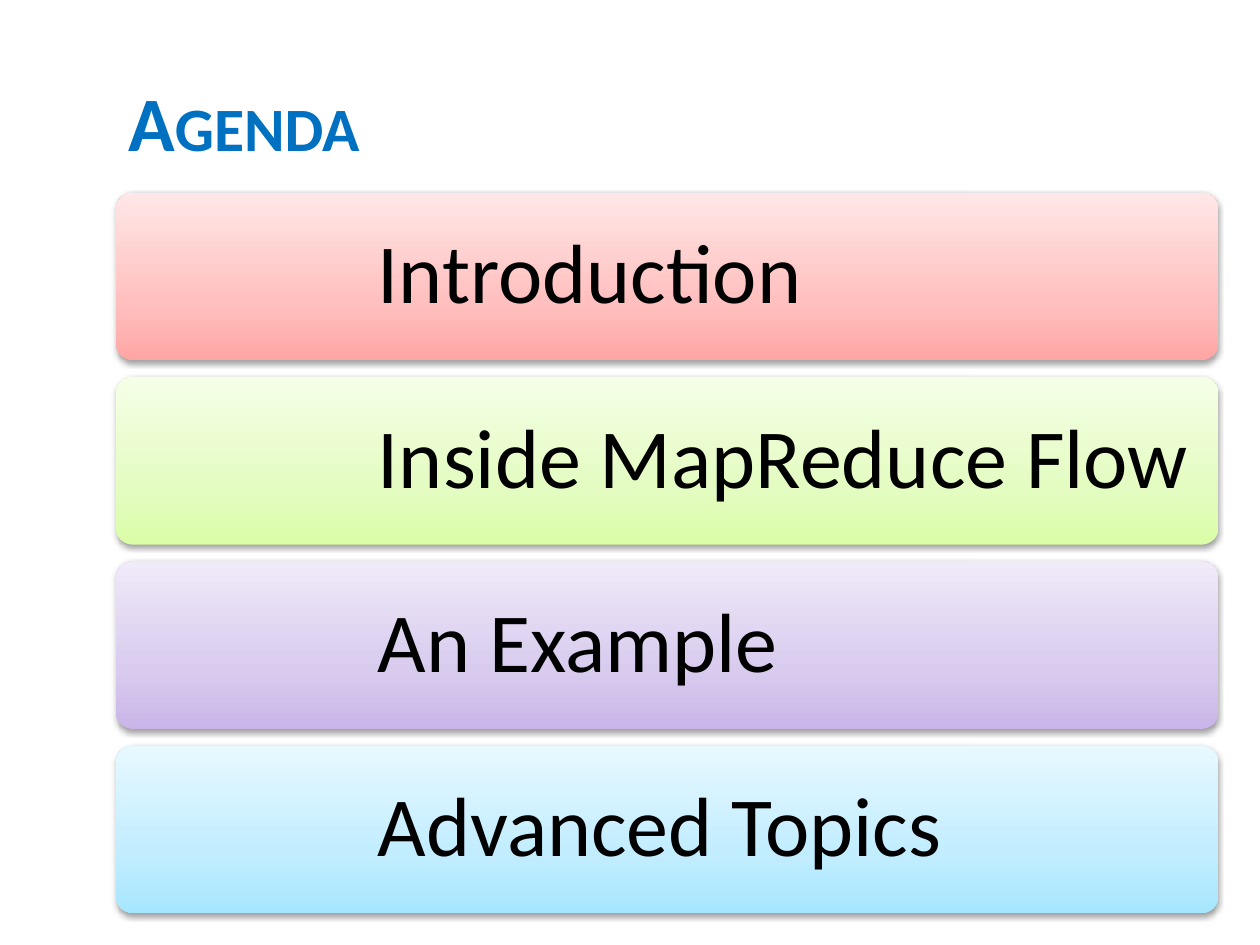
from dataclasses import dataclass

from lxml import etree
from pptx import Presentation
from pptx.dml.color import RGBColor
from pptx.enum import shapes, text
from pptx.oxml import ns
from pptx.util import Inches, Pt


@dataclass(frozen=True)
class Theme:
    font: str = "Calibri"
    title_size: int = 44
    item_size: int = 48
    title_color: str = "0070C0"
    item_color: str = "000000"
    shadow_color: str = "000000"


@dataclass(frozen=True)
class AgendaItem:
    label: str
    bottom: str
    middle: str
    top: str


THEME = Theme()
LEFT = 0.92
BAR_WIDTH, BAR_HEIGHT = 8.75, 1.33
FIRST_TOP, BAR_PITCH = 1.53, 1.463
CORNER_RATIO = 0.1

AGENDA = (
    AgendaItem("Introduction", "FFA6A5", "FFC0BF", "FFE7E7"),
    AgendaItem("Inside MapReduce Flow", "DAFDA7", "E4FCC2", "F5FFE7"),
    AgendaItem("An Example", "C9B5E8", "D8CBEE", "F0EAF9"),
    AgendaItem("Advanced Topics", "A7E6FF", "C1EDFF", "E7F8FF"),
)


def add_element(parent, tag: str, **attributes):
    element = etree.SubElement(parent, ns.qn(tag))
    for name, value in attributes.items():
        element.set(name, str(value))
    return element


def format_text(shape, label: str, size: int, color: str):
    frame = shape.text_frame
    frame.text = label
    frame.word_wrap = True
    frame.vertical_anchor = text.MSO_ANCHOR.MIDDLE
    paragraph = frame.paragraphs[0]
    paragraph.alignment = text.PP_ALIGN.LEFT
    font = paragraph.runs[0].font
    font.name = THEME.font
    font.size = Pt(size)
    font.color.rgb = RGBColor.from_string(color)
    return paragraph


def apply_gradient(shape, item: AgendaItem) -> None:
    properties = shape.element.spPr
    gradient = add_element(properties, "a:gradFill", rotWithShape=1)
    stops = add_element(gradient, "a:gsLst")
    for percent, color in ((0, item.bottom), (35, item.middle), (100, item.top)):
        stop = add_element(stops, "a:gs", pos=percent * 1000)
        add_element(stop, "a:srgbClr", val=color)
    add_element(gradient, "a:lin", ang=270 * 60000, scaled=0)
    properties.find(ns.qn("a:prstGeom")).addnext(gradient)


def apply_shadow(shape) -> None:
    shape.shadow.inherit = False
    effects = shape.element.spPr.find(ns.qn("a:effectLst"))
    shadow = add_element(effects, "a:outerShdw", blurRad=Pt(3.1), dist=Pt(1.6),
                         dir=90 * 60000, rotWithShape=0)
    color = add_element(shadow, "a:srgbClr", val=THEME.shadow_color)
    add_element(color, "a:alpha", val=38000)


def add_title(slide, label: str) -> None:
    title = slide.shapes.add_textbox(
        Inches(LEFT), Inches(0.33), Inches(8.83), Inches(1.25))
    paragraph = format_text(title, label, THEME.title_size, THEME.title_color)
    run = paragraph.runs[0]
    run.font.bold = True
    run.font._element.set("cap", "small")


def add_bar(slide, item: AgendaItem, top: float) -> None:
    bar = slide.shapes.add_shape(
        shapes.MSO_SHAPE.ROUNDED_RECTANGLE,
        Inches(LEFT), Inches(top), Inches(BAR_WIDTH), Inches(BAR_HEIGHT))
    bar.adjustments[0] = CORNER_RATIO
    bar.line.fill.background()
    apply_gradient(bar, item)
    apply_shadow(bar)
    paragraph = format_text(bar, item.label, THEME.item_size, THEME.item_color)
    paragraph.line_spacing = 0.9
    frame = bar.text_frame
    frame.margin_left = Inches(2.04)
    frame.margin_right = frame.margin_top = frame.margin_bottom = Inches(0.16)


def main() -> None:
    presentation = Presentation()
    presentation.slide_width = Inches(10)
    presentation.slide_height = Inches(7.5)
    slide = presentation.slides.add_slide(presentation.slide_layouts[6])
    add_title(slide, "Agenda")
    for index, item in enumerate(AGENDA):
        add_bar(slide, item, FIRST_TOP + index * BAR_PITCH)
    presentation.save("out.pptx")


if __name__ == "__main__":
    main()
